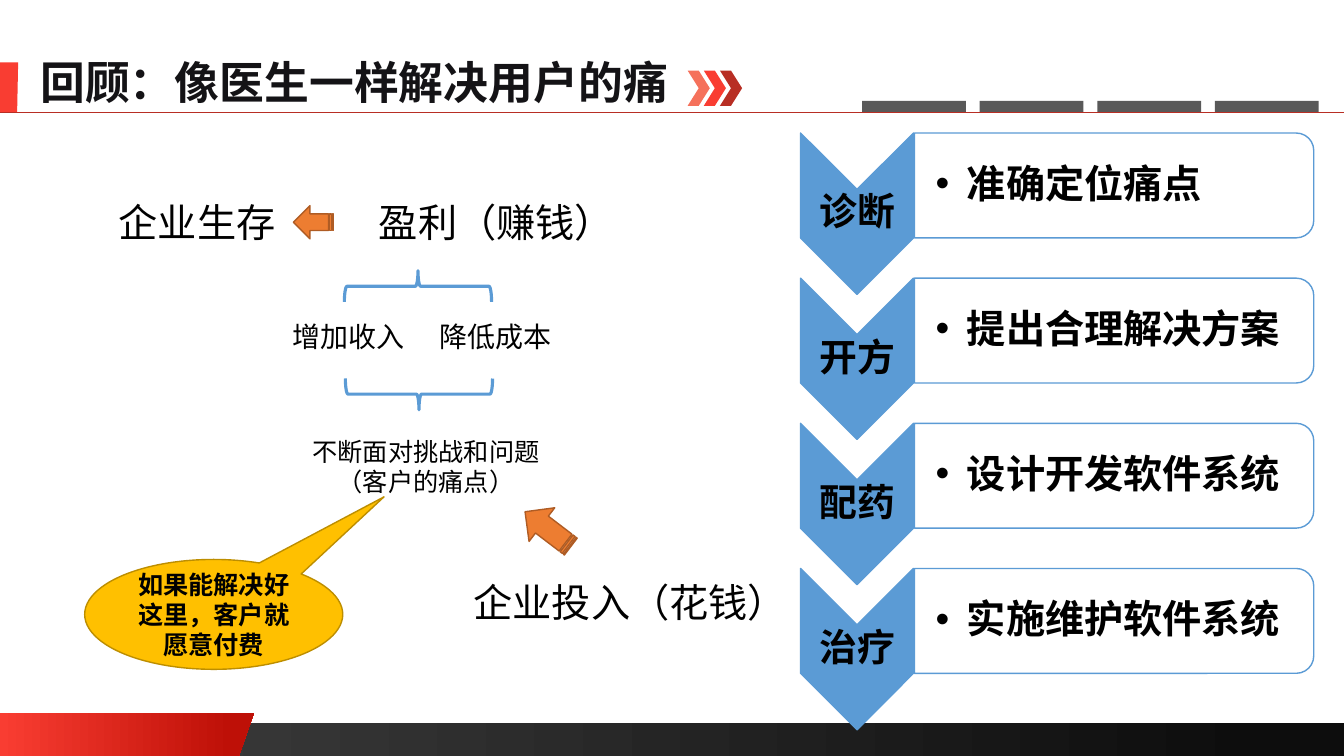
"""Build the slide about solving user pain points the way a doctor would."""
import lxml.etree
import pptx
import pptx.dml.color
import pptx.enum.shapes
import pptx.enum.text
import pptx.oxml.ns
import pptx.util

Inches = pptx.util.Inches
Pt = pptx.util.Pt
color = pptx.dml.color.RGBColor.from_string
qn = pptx.oxml.ns.qn
SHAPE = pptx.enum.shapes.MSO_SHAPE
ALIGN = pptx.enum.text.PP_ALIGN
ANCHOR = pptx.enum.text.MSO_ANCHOR
CJK_FONT = "Noto Sans CJK SC"
BLUE = "5B9BD5"

presentation = pptx.Presentation()
presentation.slide_width = Inches(13.33)
presentation.slide_height = Inches(7.5)
slide = presentation.slides.add_slide(presentation.slide_layouts[5])
shapes = slide.shapes


def add_shape(kind, box, fill=None, line=None, width=1, rotation=0):
    shape = shapes.add_shape(kind, *map(Inches, box))
    shape.shadow.inherit = False
    shape.rotation = rotation
    if fill:
        shape.fill.solid()
        shape.fill.fore_color.rgb = color(fill)
    else:
        shape.fill.background()
    if line:
        shape.line.color.rgb = color(line)
        shape.line.width = Pt(width)
    else:
        shape.line.fill.background()
    return shape


def write(shape, lines, size, font="Calibri", bold=False, align=ALIGN.LEFT,
          wrap=True, spacing=1.0, bullet=False, ink="000000"):
    frame = shape.text_frame
    frame.text = "\n".join(lines)
    frame.word_wrap = wrap
    if not wrap:
        frame.auto_size = pptx.enum.text.MSO_AUTO_SIZE.SHAPE_TO_FIT_TEXT
    for paragraph in frame.paragraphs:
        paragraph.alignment = align
        paragraph.line_spacing = spacing
        properties = paragraph._p.get_or_add_pPr()
        if bullet:
            properties.set("marL", str(Inches(0.31)))
            properties.set("indent", str(-Inches(0.31)))
            lxml.etree.SubElement(properties, qn("a:buFont")).set("typeface", "Arial")
            lxml.etree.SubElement(properties, qn("a:buChar")).set("char", "•")
        paragraph.font.size = Pt(size)
        paragraph.font.bold = bold
        paragraph.font.color.rgb = color(ink)
        paragraph.font.name = font
        east_asian = lxml.etree.SubElement(properties.find(qn("a:defRPr")), qn("a:ea"))
        east_asian.set("typeface", CJK_FONT)


footer_bar = add_shape(SHAPE.RECTANGLE, (0, 7.17, 13.33, 0.33))

corner_shapes = []
for points in (
    [(0, 7.07), (2.52, 7.07), (2.37, 7.5), (0, 7.5)],
    [(0, 0.62), (0.18, 0.62), (0.17, 1.12), (0, 1.12)],
):
    corners = [(Inches(x), Inches(y)) for x, y in points]
    builder = shapes.build_freeform(*corners[0])
    builder.add_line_segments(corners[1:], close=True)
    corner = builder.convert_to_shape()
    corner.shadow.inherit = False
    corner.line.fill.background()
    corner_shapes.append(corner)
footer_corner, title_marker = corner_shapes
title_marker.fill.solid()
title_marker.fill.fore_color.rgb = color("F93D32")

for shape, start, end, end_position in (
    (footer_bar, "404040", "0D0D0D", 0.94),
    (footer_corner, "F93D32", "BE1007", 0.91),
):
    shape.fill.gradient()
    shape.fill.gradient_angle = 0
    stops = shape.fill.gradient_stops
    for stop, shade, position in zip(stops, (start, end), (0, end_position)):
        stop.color.rgb = color(shade)
        stop.position = position

title = shapes.title
title.left, title.top, title.width, title.height = map(Inches, (0.3, 0.49, 6.48, 0.64))
title.text_frame.vertical_anchor = ANCHOR.TOP
write(title, ["回顾：像医生一样解决用户的痛"], 32, CJK_FONT, bold=True, wrap=False, ink="141316")

title_rule = shapes.add_connector(
    pptx.enum.shapes.MSO_CONNECTOR.STRAIGHT, 0, Inches(1.11), Inches(13.33), Inches(1.11))
title_rule.line.color.rgb = color("B82E24")
title_rule.line.width = Pt(0.5)
lxml.etree.SubElement(title_rule._element.spPr, qn("a:effectLst"))

for index, shade in enumerate(("F5715B", "F93D32", "B82E24")):
    add_shape(SHAPE.CHEVRON, (6.82 + 0.16 * index, 0.7, 0.22, 0.35), shade)
for index in range(4):
    add_shape(SHAPE.RECTANGLE, (8.55 + 3.5 / 3 * index, 1, 1.03, 0.11), "595959")

for lines, box, size, align in (
    (["企业生存"], (1.08, 1.92, 1.77, 0.57), 28, ALIGN.LEFT),
    (["盈利（赚钱）"], (3.66, 1.92, 2.56, 0.57), 28, ALIGN.LEFT),
    (["增加收入"], (2.8, 3.12, 1.32, 0.44), 20, ALIGN.LEFT),
    (["降低成本"], (4.26, 3.12, 1.32, 0.44), 20, ALIGN.LEFT),
    (["不断面对挑战和问题", "（客户的痛点）"], (2.99, 4.28, 2.47, 0.71), 18, ALIGN.CENTER),
    (["企业投入（花钱）"], (4.6, 5.69, 3.34, 0.57), 28, ALIGN.LEFT),
):
    write(shapes.add_textbox(*map(Inches, box)), lines, size, align=align, wrap=False)

for box, rotation in (((2.91, 2.04, 0.4, 0.33), 0), ((5.15, 5.04, 0.57, 0.42), 37.3)):
    arrow = add_shape(SHAPE.STRIPED_RIGHT_ARROW, box, "ED7D31", "AF5C24", rotation=rotation)
    arrow._element.spPr.xfrm.set("flipH", "1")

add_shape(SHAPE.LEFT_BRACE, (3.99, 2.11, 0.31, 1.46), None, BLUE, 2.25, 90)
lower_brace = add_shape(SHAPE.LEFT_BRACE, (4, 3.18, 0.31, 1.46), None, BLUE, 2.25, 270)
lower_brace._element.spPr.xfrm.set("flipV", "1")

callout = add_shape(SHAPE.OVAL_CALLOUT, (0.84, 5.55, 2.56, 1.09), "FFC000", "BD8E00")
callout.adjustments[0] = 0.66
callout.adjustments[1] = -1.07
callout.text_frame.vertical_anchor = ANCHOR.MIDDLE
write(callout, ["如果能解决好这里，客户就愿意付费"], 18, bold=True, align=ALIGN.CENTER)

steps = (
    ("诊断", "准确定位痛点"),
    ("开方", "提出合理解决方案"),
    ("配药", "设计开发软件系统"),
    ("治疗", "实施维护软件系统"),
)
for index, (step, task) in enumerate(steps):
    offset = 1.44 * index
    add_shape(SHAPE.CHEVRON, (7.7, 1.56 + offset, 1.6, 1.12), BLUE, BLUE, rotation=90)
    add_shape(SHAPE.ROUND_2_SAME_RECTANGLE, (10.53, -0.14 + offset, 1.04, 3.96),
              "FFFFFF", BLUE, rotation=90)
    for text, box, inset, size, align, bullet in (
        (step, (7.94, 1.88 + offset, 1.12, 0.48), 0.02, 27, ALIGN.CENTER, False),
        (task, (9.06, 1.37 + offset, 3.91, 0.94), 0.22, 28, ALIGN.LEFT, True),
    ):
        label = shapes.add_textbox(*map(Inches, box))
        frame = label.text_frame
        frame.margin_left = Inches(inset)
        frame.margin_right = frame.margin_top = frame.margin_bottom = Inches(0.02)
        frame.vertical_anchor = ANCHOR.MIDDLE
        write(label, [text], size, CJK_FONT, bold=True, align=align, spacing=0.9, bullet=bullet)

presentation.save("out.pptx")
